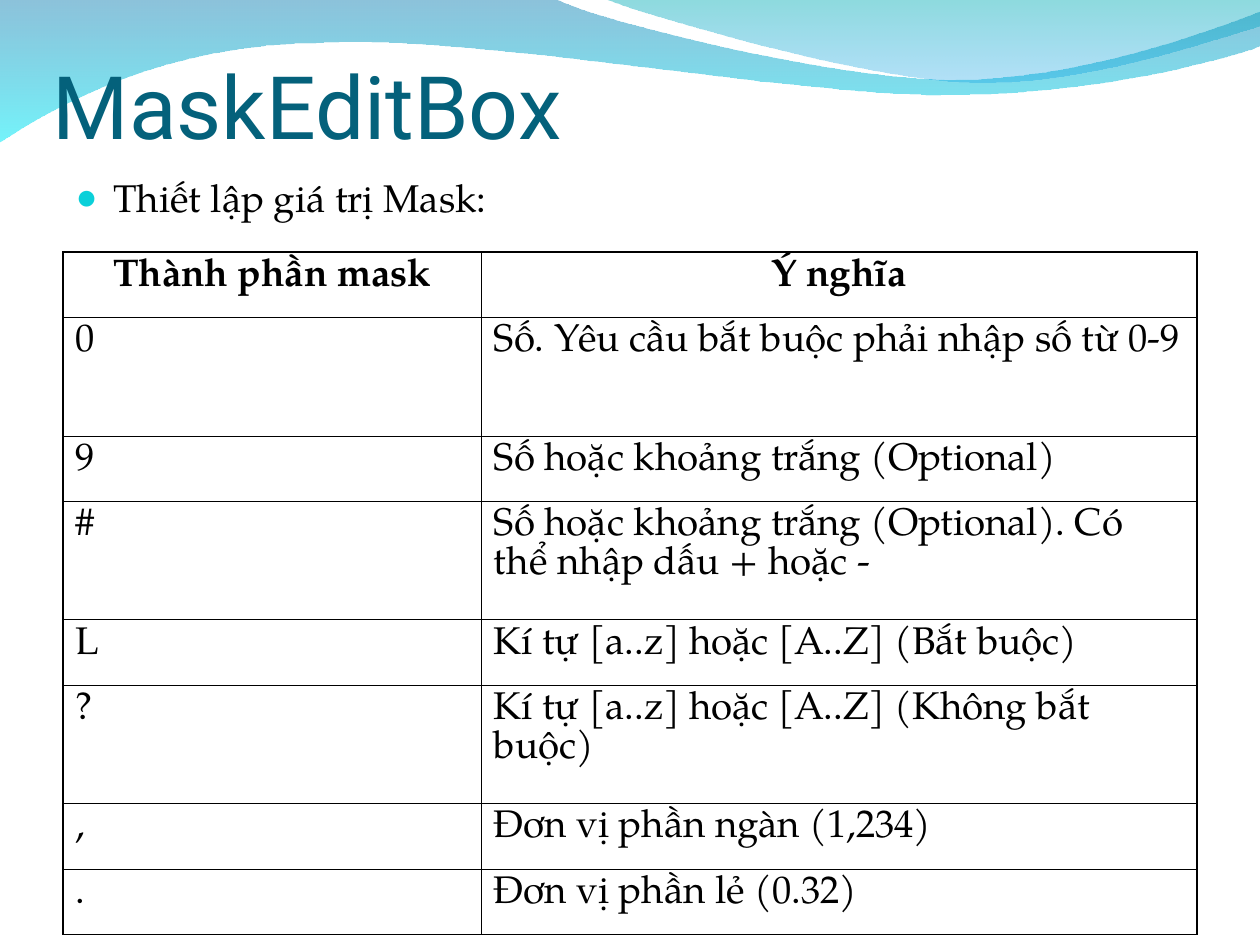
import pptx
import pptx.util
import pptx.dml.color
import pptx.enum.text
import pptx.oxml
import pptx.oxml.ns

Inches = pptx.util.Inches
Pt = pptx.util.Pt
ALIGN = pptx.enum.text.PP_ALIGN
SERIF = "TeX Gyre Pagella"
NS = pptx.oxml.ns.nsdecls("a")
UNIT = 100  # outline steps to the inch

# Each wave: start point, then line ends (2 numbers) or curves (6 numbers)
LOW_WAVE = [
    (0, -0.01), (4.4, -0.01), (4.76, 0.17, 6.64, 0.63, 7.58, 0.63),
    (8.53, 0.63, 9.58, 0.26, 10, 0.09), (10.01, 0.36),
    (9.83, 0.44, 8.7, 0.76, 7.46, 0.75), (6.22, 0.75, 3.82, 0.28, 2.57, 0.34),
    (1.29, 0.35, 0.46, 0.83, -0.01, 1.13),
]
TOP_WAVE = [
    (4.79, -0.01), (5.09, 0.11, 6.82, 0.62, 7.69, 0.65),
    (8.56, 0.69, 9.61, 0.32, 10, 0.21), (10, 0),
]
ROWS = [
    ("Thành phần mask", "Ý nghĩa"),
    ("0", "Số. Yêu cầu bắt buộc phải nhập số từ 0-9"),
    ("9", "Số hoặc khoảng trắng (Optional)"),
    ("#", "Số hoặc khoảng trắng (Optional). Có thể nhập dấu + hoặc -"),
    ("L", "Kí tự [a..z] hoặc [A..Z] (Bắt buộc)"),
    ("?", "Kí tự [a..z] hoặc [A..Z] (Không bắt buộc)"),
    (",", "Đơn vị phần ngàn (1,234)"),
    (".", "Đơn vị phần lẻ (0.32)"),
]
TALL = (1, 3, 5)


def paint(text):
    return pptx.dml.color.RGBColor.from_string(text)


def write(frame, text, font=SERIF, size=22, color="000000", bold=False,
          align=ALIGN.LEFT, space=5.5):
    para = frame.paragraphs[0]
    para.alignment = align
    para.space_before = Pt(space)
    run = para.add_run()
    run.text = text
    run.font.name = font
    run.font.size = Pt(size)
    run.font.bold = bold
    run.font.color.rgb = paint(color)
    return para


def place(shape, left, top, width, height):
    shape.left, shape.top = Inches(left), Inches(top)
    shape.width, shape.height = Inches(width), Inches(height)


def bend(shape, steps):
    """Turn the straight parts of an outline into curves where steps say so."""
    left = min(step[-2] for step in steps)
    top = min(step[-1] for step in steps)
    lines = list(shape.element.iter(pptx.oxml.ns.qn("a:lnTo")))
    for line, step in zip(lines, steps[1:]):
        if len(step) == 2:
            continue
        marks = "".join(
            f'<a:pt x="{round((x - left) * UNIT)}" y="{round((y - top) * UNIT)}"/>'
            for x, y in zip(step[::2], step[1::2]))
        curve = pptx.oxml.parse_xml(f'<a:cubicBezTo {NS}>{marks}</a:cubicBezTo>')
        line.getparent().replace(line, curve)


def add_wave(slide, steps, stops, depth):
    ends = [(round(s[-2] * UNIT), round(s[-1] * UNIT)) for s in steps]
    pen = slide.shapes.build_freeform(*ends[0], scale=Inches(1) / UNIT)
    pen.add_line_segments(ends[1:], close=True)
    wave = pen.convert_to_shape()
    bend(wave, steps)
    wave.shadow.inherit = False
    wave.line.fill.background()
    # Gradient from top to bottom, with transparency
    marks = "".join(
        f'<a:gs pos="{pos * 1000}"><a:srgbClr val="{color}">'
        f'<a:alpha val="{alpha * 1000}"/></a:srgbClr></a:gs>'
        for pos, color, alpha in stops)
    fill = pptx.oxml.parse_xml(
        f'<a:gradFill {NS} rotWithShape="1"><a:gsLst>{marks}</a:gsLst>'
        '<a:lin ang="5400000" scaled="0"/></a:gradFill>')
    wave.element.spPr.find(pptx.oxml.ns.qn("a:custGeom")).addnext(fill)
    # Send behind the text
    slide.shapes._spTree.insert(depth, wave.element)


def add_title(slide):
    title = slide.shapes.title
    place(title, 0.42, 0, 9, 1.25)
    frame = title.text_frame
    frame.vertical_anchor = pptx.enum.text.MSO_ANCHOR.BOTTOM
    frame.margin_left = frame.margin_right = frame.margin_bottom = 0
    write(frame, "MaskEditBox", font="Roboto", size=50, color="04617B", space=0)


def add_list(slide):
    body = slide.placeholders[1]
    place(body, 0.5, 1.33, 4.42, 4.8)
    para = write(body.text_frame, "Thiết lập giá trị Mask:")
    props = para._p.get_or_add_pPr()
    props.set("marL", str(Inches(0.3)))
    props.set("indent", str(Inches(-0.3)))
    for mark in ('<a:buClr {}><a:srgbClr val="0BD0D9"/></a:buClr>',
                 '<a:buSzPct {} val="95000"/>',
                 '<a:buChar {} char="●"/>'):
        props.append(pptx.oxml.parse_xml(mark.format(NS)))


def edge(cell, sides):
    props = cell._tc.get_or_add_tcPr()
    for side, outer in sides:
        width = Pt(1.08 if outer else 0.45)
        props.append(pptx.oxml.parse_xml(
            f'<a:ln{side} {NS} w="{width}"><a:solidFill>'
            f'<a:srgbClr val="000000"/></a:solidFill></a:ln{side}>'))


def add_grid(slide):
    heights = [0.94 if i in TALL else 0.52 for i in range(len(ROWS))]
    frame = slide.shapes.add_table(len(ROWS), 2, Inches(0.5), Inches(2),
                                   Inches(9), Inches(sum(heights)))
    table = frame.table
    table.horz_banding = False
    for col, width in zip(table.columns, (3.32, 5.68)):
        col.width = Inches(width)
    for r, texts in enumerate(ROWS):
        table.rows[r].height = Inches(heights[r])
        for c, text in enumerate(texts):
            cell = table.cell(r, c)
            edge(cell, (("L", c == 0), ("R", c == 1),
                        ("T", r == 0), ("B", r == len(ROWS) - 1)))
            cell.fill.background()
            write(cell.text_frame, text, bold=r == 0,
                  align=ALIGN.LEFT if r else ALIGN.CENTER)


def main():
    deck = pptx.Presentation()
    deck.slide_width, deck.slide_height = Inches(10), Inches(7.5)
    slide = deck.slides.add_slide(deck.slide_layouts[1])
    slide.background.fill.solid()
    slide.background.fill.fore_color.rgb = paint("FFFFFF")
    # Waves
    add_wave(slide, LOW_WAVE, ((0, "0079AF", 45), (100, "00EBF8", 55)), 2)
    add_wave(slide, TOP_WAVE, ((0, "00ADB6", 45), (100, "009BE5", 30)), 3)
    # Text and table
    add_title(slide)
    add_list(slide)
    add_grid(slide)
    deck.save("out.pptx")


if __name__ == "__main__":
    main()
